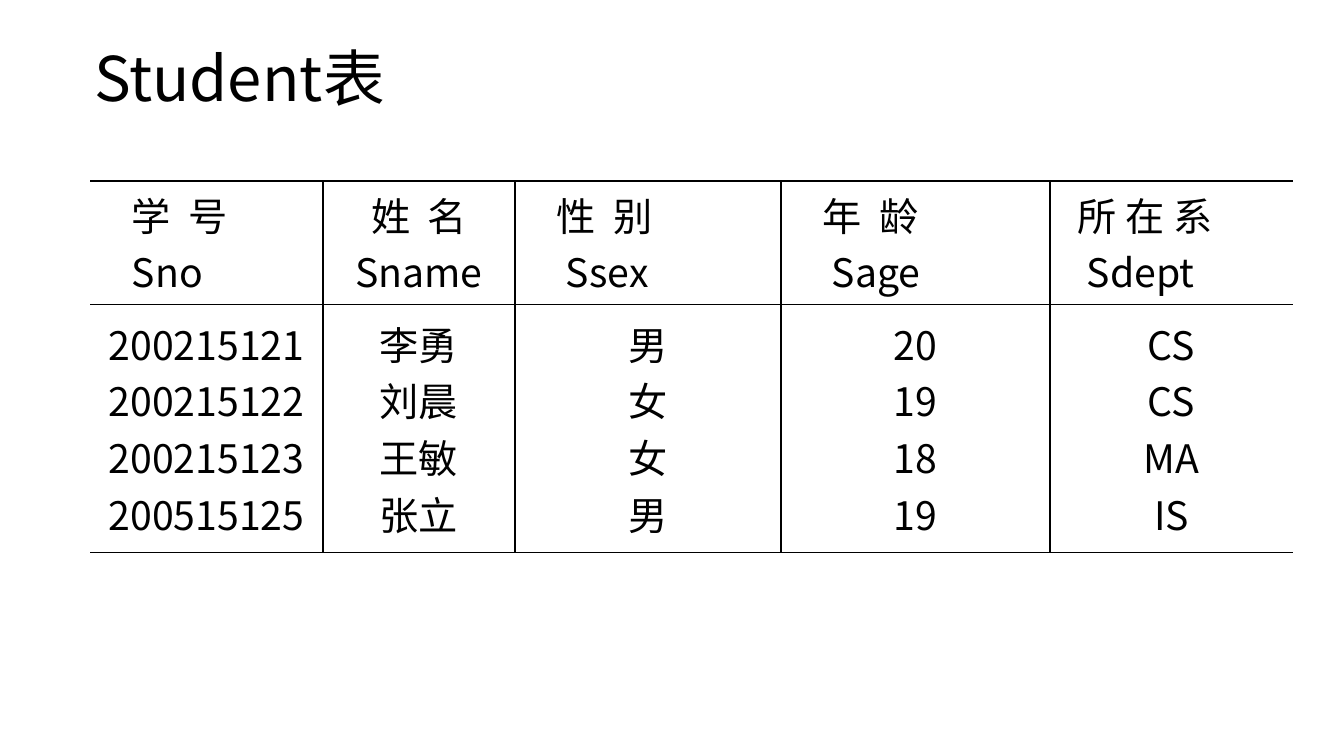
from dataclasses import dataclass

from lxml.etree import SubElement
from pptx import Presentation
from pptx.dml.color import RGBColor
from pptx.enum.text import MSO_ANCHOR, MSO_AUTO_SIZE, PP_ALIGN
from pptx.oxml.ns import qn
from pptx.util import Emu, Pt

SLIDE_WIDTH, SLIDE_HEIGHT = 1344, 756


def px(length):
    return Emu(round(length * 914400 / 100.8))


@dataclass(frozen=True)
class Theme:
    font: str = "Noto Sans CJK SC"
    ink: str = "000000"
    title_size: int = 44
    table_size: int = 28
    rule_width: int = 1


@dataclass(frozen=True)
class Column:
    width: int
    heading: tuple
    indents: tuple  # first-line indent of each heading line; empty means centred
    values: tuple


class SlideBuilder:
    def __init__(self, presentation, theme):
        self.theme = theme
        self.slide = presentation.slides.add_slide(presentation.slide_layouts[5])

    def apply(self, target, formats):
        for name, value in formats.items():
            setattr(target, name, value)

    def style_font(self, paragraph, size):
        for run in paragraph.runs:
            self.apply(run.font, {"name": self.theme.font, "size": Pt(size), "bold": False})
            run.font.color.rgb = RGBColor.from_string(self.theme.ink)
            east_asian = SubElement(run.font._element, qn("a:ea"))
            east_asian.set("typeface", self.theme.font)

    def title(self, text, left, top, width, height):
        shape = self.slide.shapes.title
        self.apply(shape, {"left": px(left), "top": px(top),
                           "width": px(width), "height": px(height)})
        self.apply(shape.text_frame, {"text": text, "word_wrap": True,
                                      "auto_size": MSO_AUTO_SIZE.NONE,
                                      "vertical_anchor": MSO_ANCHOR.MIDDLE})
        paragraph = shape.text_frame.paragraphs[0]
        self.apply(paragraph, {"alignment": PP_ALIGN.LEFT, "line_spacing": 0.9})
        self.style_font(paragraph, self.theme.title_size)

    def borders(self, cell, visible_sides):
        properties = cell._tc.get_or_add_tcPr()
        for position, side in enumerate("LRTB"):
            line = SubElement(properties, qn(f"a:ln{side}"))
            line.set("w", str(Pt(self.theme.rule_width)))
            if side in visible_sides:
                fill = SubElement(line, qn("a:solidFill"))
                SubElement(fill, qn("a:srgbClr")).set("val", self.theme.ink)
            else:
                SubElement(line, qn("a:noFill"))
            properties.insert(position, line)

    def cell(self, cell, lines, indents, visible_sides):
        cell.fill.background()
        self.borders(cell, visible_sides)
        self.apply(cell, {"vertical_anchor": MSO_ANCHOR.MIDDLE,
                          "margin_left": px(13), "margin_right": px(13),
                          "margin_top": px(5), "margin_bottom": px(5)})
        cell.text_frame.text = "\n".join(lines)
        for index, paragraph in enumerate(cell.text_frame.paragraphs):
            paragraph.alignment = PP_ALIGN.LEFT if indents else PP_ALIGN.CENTER
            if indents:
                properties = paragraph._p.get_or_add_pPr()
                properties.set("marL", "0")
                properties.set("indent", str(px(indents[index])))
            self.style_font(paragraph, self.theme.table_size)

    def table(self, columns, left, top, row_heights):
        width = sum(column.width for column in columns)
        table = self.slide.shapes.add_table(
            len(row_heights), len(columns), px(left), px(top),
            px(width), px(sum(row_heights))).table
        self.apply(table, {"first_row": False, "horz_banding": False})
        for row, height in zip(table.rows, row_heights):
            row.height = px(height)
        for index, column in enumerate(columns):
            table.columns[index].width = px(column.width)
            # Rules above and below, and only between columns
            sides = "TB"
            if index > 0:
                sides += "L"
            if index < len(columns) - 1:
                sides += "R"
            self.cell(table.cell(0, index), column.heading, column.indents, sides)
            self.cell(table.cell(1, index), column.values, (), sides)


STUDENT_COLUMNS = (
    Column(233, ("学  号", "Sno"), (29, 29),
           ("200215121", "200215122", "200215123", "200515125")),
    Column(192, ("姓  名", "Sname"), (), ("李勇", "刘晨", "王敏", "张立")),
    Column(266, ("性  别", "Ssex"), (29, 38), ("男", "女", "女", "男")),
    Column(269, ("年  龄", "Sage"), (29, 38), ("20", "19", "18", "19")),
    Column(243, ("所 在 系", "Sdept"), (15, 24), ("CS", "CS", "MA", "IS")),
)


def main():
    presentation = Presentation()
    presentation.slide_width = px(SLIDE_WIDTH)
    presentation.slide_height = px(SLIDE_HEIGHT)
    builder = SlideBuilder(presentation, Theme())

    # Heading
    builder.title("Student表", 84, 53, 728, 58)

    # Student records
    builder.table(STUDENT_COLUMNS, 90, 181, (119, 248))

    presentation.save("out.pptx")


if __name__ == "__main__":
    main()
